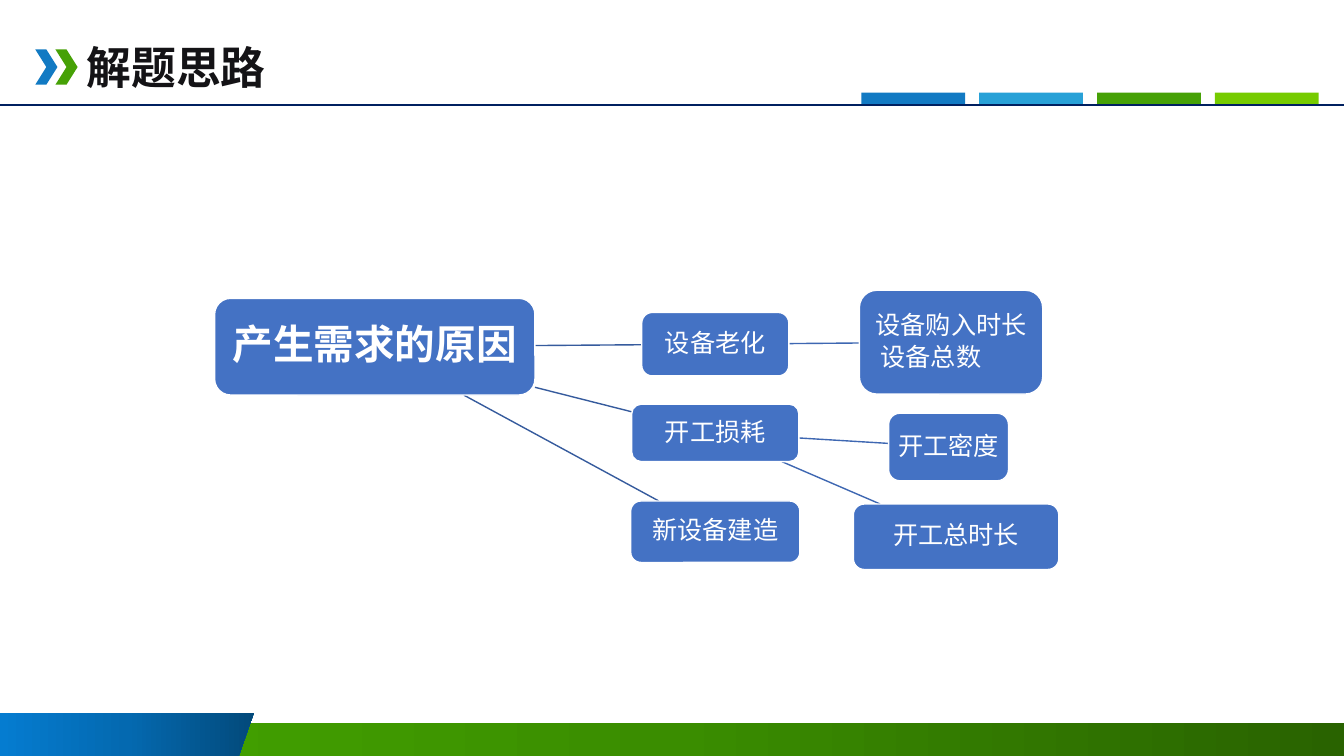
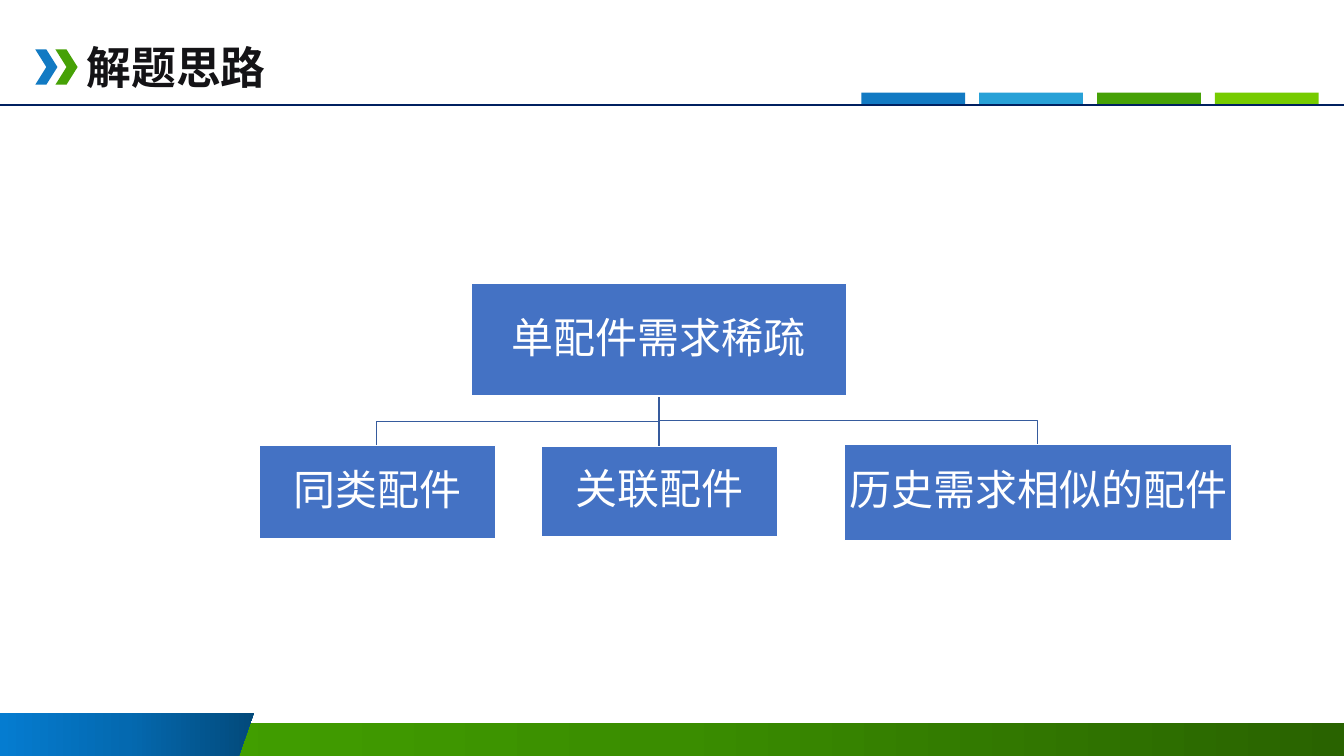
from copy import deepcopy

from lxml import etree
from pptx import Presentation
from pptx import util as u
from pptx.dml.color import RGBColor
from pptx.enum import shapes, text
from pptx.oxml import ns

PX = 9144  # EMU per px, 100 px to the inch
W, H = 1334, 750
COLORS = {
    "title": "141316", "rule": "002060", "white": "FFFFFF",
    "blue": "127AC3", "sky": "28A1D7", "green": "46A106", "lime": "76CB00",
    "box": "4472C4", "link": "365B9D", "sublink": "3E67B2",
}
GREEN_BAND = ("45A700", "3A8D00", "296300")
BLUE_BAND = ("057CD0", "0469B0", "034A7B")
CJK = "Noto Sans CJK SC"
CJK_JP = "Noto Sans CJK JP"
SHAPE = shapes.MSO_SHAPE


def rgb(name):
    return RGBColor.from_string(COLORS[name])


def px(*lengths):
    return [u.Emu(round(n * PX)) for n in lengths]


# ---- Element kinds ----

def write(p, content, size, color="white", font=CJK_JP, ea=None, bold=False,
          align=text.PP_ALIGN.LEFT, indent=0, spacing=None, after=0):
    """Fill paragraph p with one formatted run."""
    if indent:
        p._p.get_or_add_pPr().set("marL", str(indent * PX))
    p.alignment = align
    p.line_spacing = spacing
    p.space_before, p.space_after = u.Pt(0), u.Pt(after)
    r = p.add_run()
    r.text = content
    r.font.size, r.font.bold, r.font.name = u.Pt(size), bold, font
    r.font.color.rgb = rgb(color)
    east = etree.SubElement(r.font._element, ns.qn("a:ea"))
    east.set("typeface", ea or font)


def block(s, kind, box, fill, line=None):
    sp = s.shapes.add_shape(kind, *px(*box))
    sp.shadow.inherit = False
    sp.fill.solid()
    sp.fill.fore_color.rgb = rgb(fill)
    if line:
        sp.line.color.rgb, sp.line.width = rgb(line), u.Pt(1)
    else:
        sp.line.fill.background()
    return sp


def node(s, box, lines, kind=SHAPE.ROUNDED_RECTANGLE, size=18, inset=5, **fmt):
    """A diagram box; later lines are left aligned with an indent."""
    tf = block(s, kind, box, "box", line="white").text_frame
    tf.word_wrap = True
    tf.vertical_anchor = text.MSO_ANCHOR.MIDDLE
    tf.margin_left = tf.margin_top = tf.margin_right = tf.margin_bottom = px(inset)[0]
    for i, content in enumerate(lines):
        p = tf.add_paragraph() if i else tf.paragraphs[0]
        place = {"indent": 11} if i else {"align": text.PP_ALIGN.CENTER}
        write(p, content, size, spacing=0.9, after=3, **place, **fmt)


def line(s, start, end, color):
    c = s.shapes.add_connector(shapes.MSO_CONNECTOR.STRAIGHT, *px(*start, *end))
    c.line.color.rgb, c.line.width = rgb(color), u.Pt(1)
    etree.SubElement(c._element.spPr, ns.qn("a:effectLst"))


def outline(s, points, close):
    fb = s.shapes.build_freeform(*points[0], scale=PX)
    fb.add_line_segments(points[1:], close=close)
    sp = fb.convert_to_shape()
    sp.shadow.inherit = False
    return sp


def gradient(sp, stops):
    """Left-to-right gradient through three colours."""
    sp.fill.gradient()
    sp.fill.gradient_angle = 0
    first = sp._element.spPr.find(".//" + ns.qn("a:gs"))
    first.addnext(deepcopy(first))
    for i, (stop, color) in enumerate(zip(sp.fill.gradient_stops, stops)):
        stop.position = i / 2
        stop.color.rgb = RGBColor.from_string(color)
    sp.line.fill.background()


# ---- Geometry of links ----

def center(box):
    x, y, w, h = box
    return x + w / 2, y + h / 2


def edge_point(box, target):
    """Where the line from the box centre to target leaves the box."""
    cx, cy = center(box)
    dx, dy = target[0] - cx, target[1] - cy
    t = 1 / max(abs(dx) / (box[2] / 2), abs(dy) / (box[3] / 2))
    return cx + dx * t, cy + dy * t


def link(s, a, b, color):
    line(s, edge_point(a, center(b)), edge_point(b, center(a)), color)


def elbow(s, parent, child, color):
    """Down from the parent, across, and down to the child."""
    x1, x2 = center(parent)[0], center(child)[0]
    y1, y2 = parent[1] + parent[3], child[1]
    if abs(x1 - x2) < 1:
        line(s, (x1, y1), (x1, y2), color)
        return
    mid = (y1 + y2) / 2
    sp = outline(s, [(x1, y1), (x1, mid), (x2, mid), (x2, y2)], close=False)
    sp.fill.background()
    sp.line.color.rgb, sp.line.width = rgb(color), u.Pt(1)


# ---- Slides ----

def base_slide(prs, title):
    s = prs.slides.add_slide(prs.slide_layouts[5])
    # Title
    sp = s.shapes.title
    sp.left, sp.top, sp.width, sp.height = px(76, 34, 200, 64)
    tf = sp.text_frame
    tf.word_wrap, tf.auto_size = False, text.MSO_AUTO_SIZE.NONE
    tf.vertical_anchor = text.MSO_ANCHOR.MIDDLE
    write(tf.paragraphs[0], title, 32, color="title", font=CJK, bold=True)
    # Header rule, chevrons and tabs
    line(s, (0, 104), (W, 104), "rule")
    for i, color in enumerate(("blue", "green")):
        block(s, SHAPE.CHEVRON, (35 + 20 * i, 49, 22, 35), color)
    for i, color in enumerate(("blue", "sky", "green", "lime")):
        block(s, SHAPE.RECTANGLE, (855 + 117 * i, 92, 103, 11), color)
    # Footer bands
    gradient(block(s, SHAPE.RECTANGLE, (0, 717, W, 33), "green"), GREEN_BAND)
    corner = [(0, 707), (252, 707), (237, H), (0, H)]
    gradient(outline(s, corner, close=True), BLUE_BAND)
    return s


def causes_slide(prs):
    s = base_slide(prs, "解题思路")
    root = (213, 296, 318, 96)
    aging, wear, new = (637, 310, 146, 63), (627, 401, 166, 57), (626, 497, 168, 61)
    age, density, hours = (853, 288, 182, 103), (882, 410, 119, 67), (847, 500, 204, 65)
    for child in (new, wear, aging):
        link(s, root, child, "link")
    for parent, child in ((aging, age), (wear, density), (wear, hours)):
        link(s, parent, child, "sublink")
    node(s, root, ["产生需求的原因"], size=29, inset=8, bold=True)
    for box, lines in (
        (aging, ["设备老化"]),
        (age, ["设备购入时长", "设备总数"]),
        (wear, ["开工损耗"]),
        (density, ["开工密度"]),
        (hours, ["开工总时长"]),
        (new, ["新设备建造"]),
    ):
        node(s, box, lines)


def sparse_slide(prs):
    s = base_slide(prs, "解题思路")
    root = (468, 281, 372, 112)
    children = {
        "同类配件": (257, 442, 235, 92),
        "关联配件": (537, 443, 235, 89),
        "历史需求相似的配件": (838, 441, 385, 95),
    }
    for box in children.values():
        elbow(s, root, box, "link")
    for label, box in {"单配件需求稀疏": root, **children}.items():
        node(s, box, [label], kind=SHAPE.RECTANGLE, size=30, inset=2,
             font="Calibri", ea=CJK)


def main():
    prs = Presentation()
    prs.slide_width, prs.slide_height = px(W, H)
    causes_slide(prs)
    sparse_slide(prs)
    prs.save("out.pptx")


if __name__ == "__main__":
    main()
